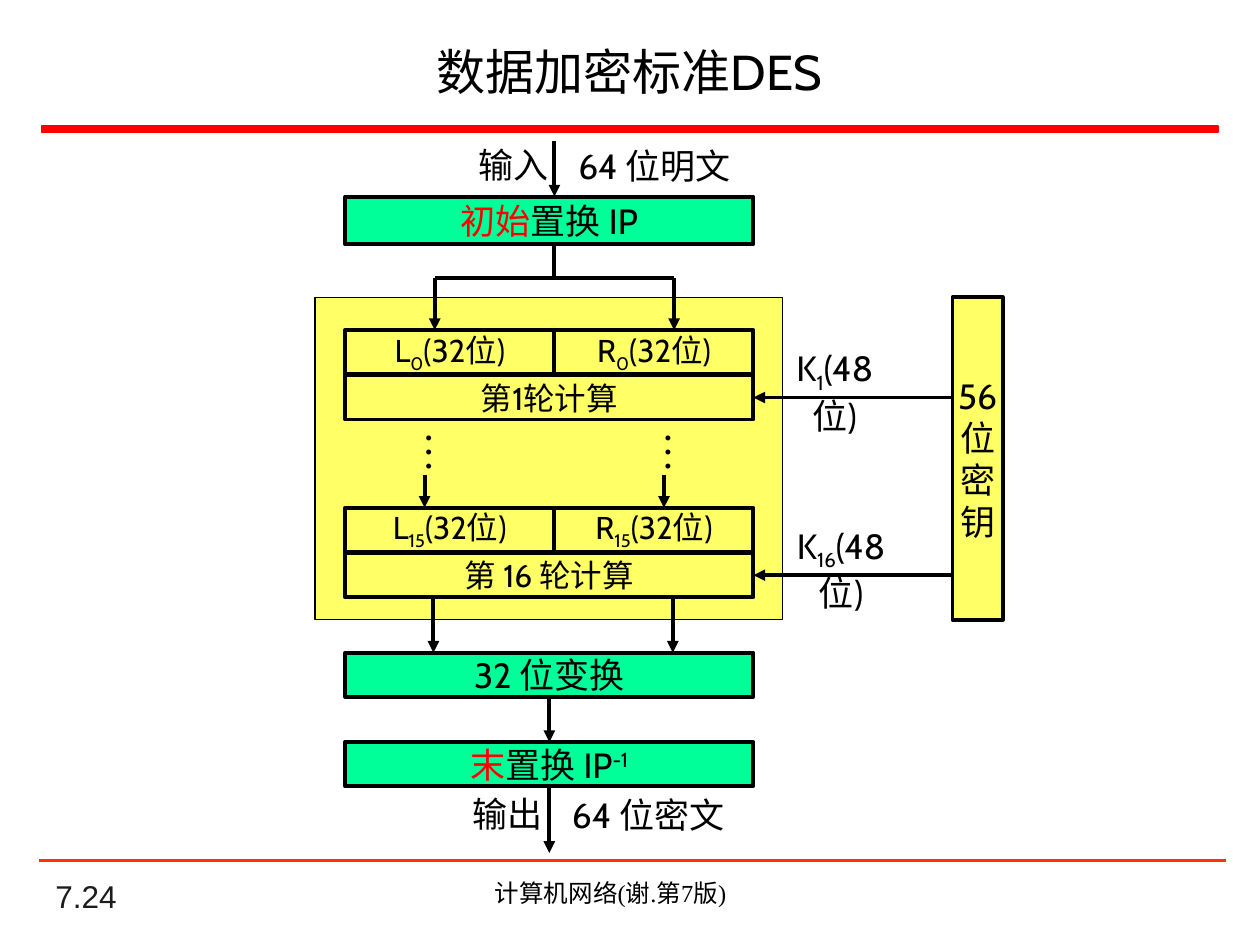
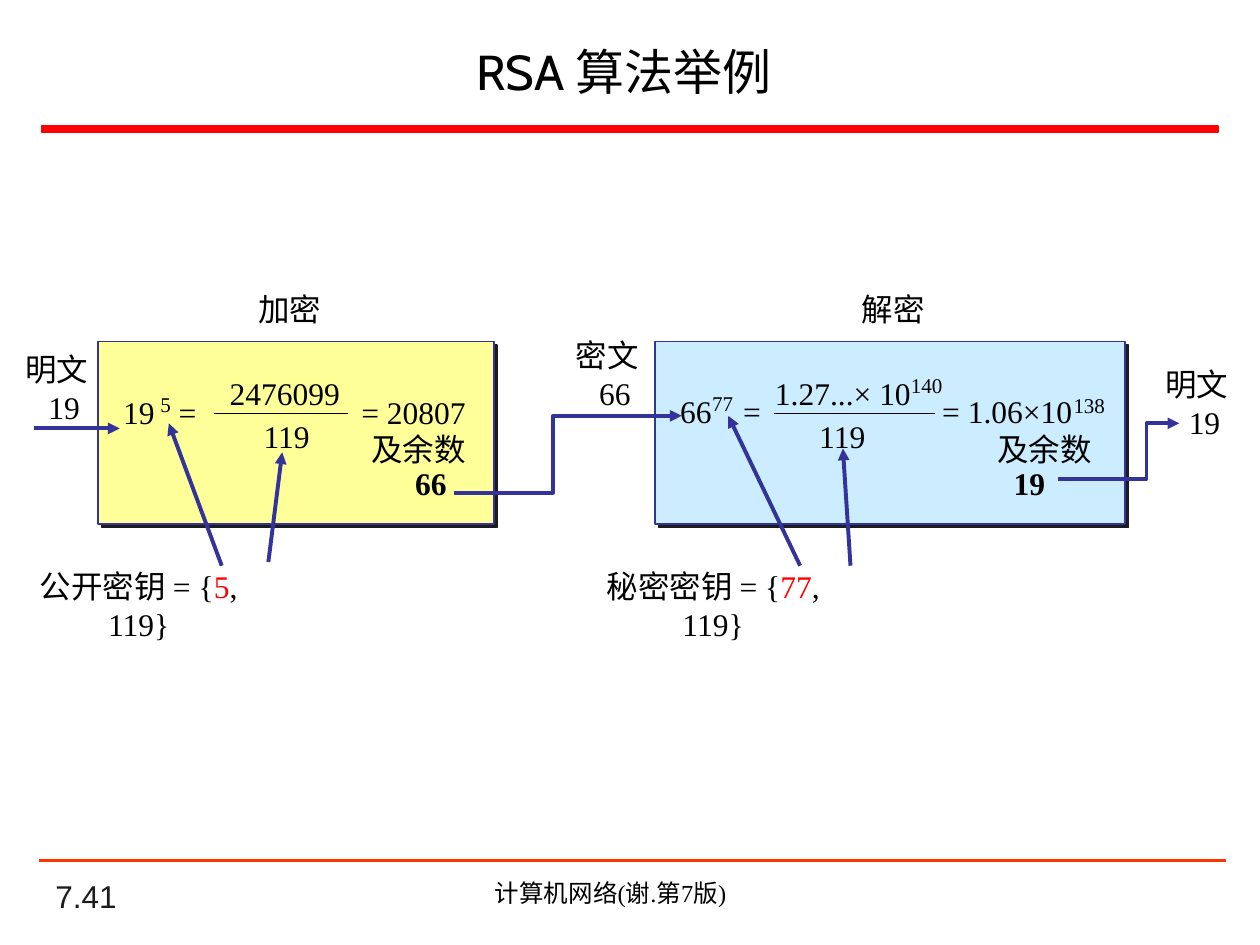
"""Build two slides on the DES cipher and an RSA worked example."""
from dataclasses import dataclass
from typing import NamedTuple, Optional, Sequence, Union

from lxml import etree
from pptx import Presentation
from pptx.dml.color import RGBColor
from pptx.enum import shapes, text
from pptx.oxml.ns import qn
from pptx.util import Inches, Pt

BLACK = RGBColor(0x00, 0x00, 0x00)
CHARCOAL = RGBColor(0x1C, 0x1C, 0x1C)
RED = RGBColor(0xFF, 0x00, 0x00)
ORANGE = RGBColor(0xFF, 0x33, 0x00)
YELLOW = RGBColor(0xFF, 0xFF, 0x66)
PALE_YELLOW = RGBColor(0xFF, 0xFF, 0x99)
PALE_BLUE = RGBColor(0xCC, 0xEC, 0xFF)
GREEN = RGBColor(0x00, 0xFF, 0x99)
NAVY = RGBColor(0x33, 0x33, 0x99)
SANS, SERIF, NUMBER = "Cabin", "Times New Roman", "Arial"
CENTER, LEFT = text.PP_ALIGN.CENTER, text.PP_ALIGN.LEFT
TOP, MIDDLE, BOTTOM = text.MSO_ANCHOR.TOP, text.MSO_ANCHOR.MIDDLE, text.MSO_ANCHOR.BOTTOM
SIDE_TOP, SIDE_BOTTOM, SIDE_RIGHT = 0, 2, 3


class Span(NamedTuple):
    """A stretch of text with its own format."""
    text: str
    color: Optional[RGBColor] = None
    baseline: int = 0
    bold: bool = False


class Line(NamedTuple):
    """A paragraph; a positive indent pushes it right, a negative one left."""
    spans: Sequence[Span]
    indent: float = 0


class Box(NamedTuple):
    """A frame in inches."""
    left: float
    top: float
    width: float
    height: float


class Label(NamedTuple):
    """A piece of text and its frame."""
    content: Union[str, Sequence[Line]]
    box: Box
    size: float = 18


class Arrow(NamedTuple):
    """A straight line from one point to another, in inches."""
    x1: float
    y1: float
    x2: float
    y2: float


@dataclass
class Calculation:
    """One half of the RSA example."""
    panel: Box
    fill: RGBColor
    caption: Label
    equation: Label
    tabs: Sequence[float]
    fraction: Arrow
    key: Label
    key_arrows: Sequence[Arrow]
    route: Sequence[tuple]
    labels: Sequence[Label]


def write(shape, content, *, size: float = 18, font: str = SERIF, color=BLACK, align=CENTER,
          anchor=TOP, wrap: bool = False, spacing: float = 1, before: float = 0,
          vertical: bool = False, tabs: Sequence[float] = ()) -> None:
    """Fill a shape with formatted text."""
    frame = shape.text_frame
    frame.word_wrap, frame.vertical_anchor = wrap, anchor
    if vertical:
        frame._txBody.bodyPr.set("vert", "eaVert")
    lines = [Line([Span(content)])] if isinstance(content, str) else content
    for index, line in enumerate(lines):
        paragraph = frame.add_paragraph() if index else frame.paragraphs[0]
        paragraph.alignment, paragraph.line_spacing = align, spacing
        paragraph.space_before = Pt(before)
        properties = paragraph._p.get_or_add_pPr()
        if line.indent:
            properties.set("marL" if line.indent > 0 else "marR", str(Inches(abs(line.indent))))
        if tabs:
            stops = etree.SubElement(properties, qn("a:tabLst"))
            for tab in tabs:
                etree.SubElement(stops, qn("a:tab"), pos=str(Inches(tab)), algn="l")
        for span in line.spans:
            run = paragraph.add_run()
            run.text = span.text
            run.font.size, run.font.name, run.font.bold = Pt(size), font, span.bold
            run.font.color.rgb = span.color or color
            if span.baseline:
                run._r.get_or_add_rPr().set("baseline", str(span.baseline * 1000))


def frame_of(box: Box) -> list:
    """Turn a box into lengths."""
    return [Inches(value) for value in box]


def add_text(slide, label: Label, **style):
    """Add a text box."""
    shape = slide.shapes.add_textbox(*frame_of(label.box))
    write(shape, label.content, size=label.size, **style)
    return shape


def add_box(slide, box: Box, fill=None, line=BLACK, weight: float = 2.25, content=None, **style):
    """Add a rectangle, with text if there is any."""
    shape = slide.shapes.add_shape(shapes.MSO_SHAPE.RECTANGLE, *frame_of(box))
    shape.shadow.inherit = False
    if fill is None:
        shape.fill.background()
    else:
        shape.fill.solid()
        shape.fill.fore_color.rgb = fill
    shape.line.color.rgb, shape.line.width = line, Pt(weight)
    if content:
        write(shape, content, font=SANS, anchor=MIDDLE, **style)
    return shape


def add_arrowhead(shape) -> None:
    """Put a triangle at the end of a line."""
    etree.SubElement(shape.line._get_or_add_ln(), qn("a:tailEnd"), type="triangle")


def add_line(slide, line: Arrow, color=BLACK, weight: float = 2.25, head: bool = True,
             begin=None, end=None) -> None:
    """Add a straight line; begin and end are (shape, side) pairs to join."""
    connector = slide.shapes.add_connector(
        shapes.MSO_CONNECTOR.STRAIGHT, *[Inches(value) for value in line])
    connector.line.color.rgb, connector.line.width = color, Pt(weight)
    if head:
        add_arrowhead(connector)
    etree.SubElement(connector._element.spPr, qn("a:effectLst"))
    if begin:
        connector.begin_connect(*begin)
    if end:
        connector.end_connect(*end)


def add_route(slide, points: Sequence[tuple]) -> None:
    """Add a bent arrow through the points."""
    start, *rest = [(Inches(x), Inches(y)) for x, y in points]
    builder = slide.shapes.build_freeform(*start)
    builder.add_line_segments(rest, close=False)
    shape = builder.convert_to_shape()
    shape.shadow.inherit = False
    shape.fill.background()
    shape.line.color.rgb, shape.line.width = NAVY, Pt(2.25)
    add_arrowhead(shape)


def add_panel(slide, box: Box, fill) -> None:
    """Add a rectangle with a hard shadow to the lower right."""
    panel = add_box(slide, box, fill, NAVY, 1)
    effects = panel._element.spPr.find(qn("a:effectLst"))
    shadow = etree.SubElement(effects, qn("a:outerShdw"), blurRad="0", dist=str(Pt(2.8)),
                              dir="2700000", algn="ctr", rotWithShape="0")
    etree.SubElement(shadow, qn("a:srgbClr"), val=str(CHARCOAL))


def start_slide(presentation, title: str, number: str):
    """Add a slide with its title, rules and footer."""
    slide = presentation.slides.add_slide(presentation.slide_layouts[6])
    add_text(slide, Label(number, Box(0.34, 6.98, 2.08, 0.33)), font=NUMBER, color=CHARCOAL,
             align=LEFT, anchor=BOTTOM, wrap=True)
    add_box(slide, Box(0.33, 1, 9.34, 0.05), RED, RED, 1)
    add_line(slide, Arrow(0.31, 6.83, 9.73, 6.83), ORANGE, 1.5, head=False)
    add_text(slide, Label("计算机网络(谢.第7版) ", Box(2.83, 6.92, 4.08, 0.34), 14), wrap=True)
    add_text(slide, Label(title, Box(0.39, 0.22, 9.21, 0.69), 28), font=SANS,
             anchor=MIDDLE, wrap=True)
    return slide


def indexed(letter: str, index: int, rest: str) -> list:
    """Give a letter with a subscript and what follows it."""
    return [Line([Span(letter), Span(str(index), baseline=-25), Span(rest)])]


def build_des(presentation) -> None:
    """Draw the DES flow chart."""
    slide = start_slide(presentation, "数据加密标准DES", "7.24")
    left, width, row, middle = 2.74, 3.24, 0.35, 4.4
    right = left + width
    add_box(slide, Box(2.5, 2.36, 3.71, 2.56), YELLOW, weight=0.75)
    key = [Line([Span(part)]) for part in ("56", "位", "密", "钥")]
    add_box(slide, Box(7.56, 2.36, 0.4, 2.56), YELLOW, content=key, size=20)

    initial = [Line([Span("初始", RED), Span("置换 IP")])]
    final = [Line([Span("末", RED), Span("置换 IP"), Span("-1", baseline=30)])]
    stages = [(initial, 1.56, 0.38), ("32 位变换", 5.18, row), (final, 5.89, row)]
    _, swap, last = [add_box(slide, Box(left, top, width, height), GREEN, content=content, size=20)
                     for content, top, height in stages]

    for top, index, name, key_number, key_width in [(2.62, 0, "第1轮计算", 1, 0.85),
                                                    (4.03, 15, "第 16 轮计算", 16, 0.95)]:
        for letter, start, stop in (("L", left, middle), ("R", middle, right)):
            add_box(slide, Box(start, top, stop - start, row),
                    content=indexed(letter, index, "(32位)"))
        round_bar = add_box(slide, Box(left, top + 0.36, width, row), content=name)
        arrow_y = top + 0.36 + row / 2
        add_line(slide, Arrow(7.56, arrow_y, right, arrow_y), end=(round_bar, SIDE_RIGHT))
        add_text(slide, Label(indexed("K", key_number, "(48位)"),
                              Box(6.2, top + 0.08, key_width, 0.75), 20), font=SANS, wrap=True)

    add_line(slide, Arrow(middle, 1.12, middle, 1.56))
    add_line(slide, Arrow(middle, 1.94, middle, 2.21), head=False)
    add_line(slide, Arrow(3.45, 2.21, 5.35, 2.21), head=False)
    for x in (3.45, 5.35):
        add_line(slide, Arrow(x, 2.21, x, 2.62))
        add_line(slide, Arrow(x - 0.08, 3.77, x - 0.08, 4.03))
        add_line(slide, Arrow(x - 0.01, 4.74, x - 0.01, 5.18))
        add_text(slide, Label("…", Box(x - 0.29, 3.33, 0.61, 0.44), 24),
                 vertical=True, wrap=True, before=6)
    add_line(slide, Arrow(4.36, 5.53, 4.36, 5.89), begin=(swap, SIDE_BOTTOM), end=(last, SIDE_TOP))
    add_line(slide, Arrow(4.36, 6.24, 4.36, 6.77), begin=(last, SIDE_BOTTOM))

    for label in (Label("输入", Box(3.69, 1.09, 0.77, 0.44), 20),
                  Label("64 位明文", Box(4.45, 1.1, 1.49, 0.44), 20),
                  Label("输出", Box(3.64, 6.24, 0.77, 0.44), 20),
                  Label("64 位密文", Box(4.4, 6.25, 1.49, 0.44), 20)):
        add_text(slide, label, font=SANS)


def value_of(name: str, value: str, left: float, top: float) -> Label:
    """Label a message with its value below."""
    return Label([Line([Span(name)]), Line([Span(value)], 0.12)], Box(left, top, 0.7, 0.7))


def key_of(name: str, exponent: str, left: float, width: float) -> Label:
    """Label a key pair with its exponent in red."""
    spans = [Span(f"{name} = {{"), Span(exponent, RED), Span(", 119}")]
    return Label([Line(spans)], Box(left, 4.45, width, 0.7))


def remainder_of(value: str, left: float, width: float, indent: float) -> Label:
    """Label the remainder of a division."""
    lines = [Line([Span("及余数")]), Line([Span(value, bold=True)], indent)]
    return Label(lines, Box(left, 3.4, width, 0.65))


CALCULATIONS = [
    Calculation(
        Box(0.78, 2.71, 3.14, 1.45), PALE_YELLOW, Label("加密", Box(1.95, 2.25, 0.7, 0.4)),
        Label("19\t=\t= 20807", Box(0.88, 3.07, 3.1, 0.4)), (0.44, 1.89),
        Arrow(1.7, 3.28, 2.76, 3.28), key_of("公开密钥", "5", 0.09, 2.02),
        [Arrow(1.76, 4.49, 1.34, 3.36), Arrow(2.13, 4.46, 2.24, 3.59)],
        [(3.6, 3.91), (4.39, 3.91), (4.39, 3.3), (5.41, 3.3)],
        [Label("5", Box(1.17, 3.06, 0.29, 0.3), 12),
         Label("2476099", Box(1.72, 2.92, 1.08, 0.4)), Label("119", Box(1.99, 3.26, 0.57, 0.4))]),
    Calculation(
        Box(5.2, 2.71, 3.73, 1.45), PALE_BLUE, Label("解密", Box(6.74, 2.25, 0.7, 0.4)),
        Label("66\t=\t= 1.06×10", Box(5.3, 3.06, 3.6, 0.4)), (0.5, 2.08),
        Arrow(6.14, 3.28, 7.42, 3.28), key_of("秘密密钥", "77", 4.56, 2.2),
        [Arrow(6.35, 4.49, 5.78, 3.3), Arrow(6.75, 4.49, 6.69, 3.56)],
        [(8.4, 3.8), (9.1, 3.8), (9.1, 3.36), (9.36, 3.36)],
        [Label("77", Box(5.55, 3.05, 0.37, 0.3), 12),
         Label("1.27...× 10", Box(6.05, 2.92, 1.28, 0.4)), Label("119", Box(6.4, 3.26, 0.57, 0.4)),
         Label("140", Box(7.13, 2.91, 0.45, 0.3), 12),
         Label("138", Box(8.42, 3.07, 0.45, 0.3), 12)]),
]


def build_rsa(presentation) -> None:
    """Draw the RSA example."""
    slide = start_slide(presentation, "RSA 算法举例 ", "7.41")
    for calculation in CALCULATIONS:
        add_panel(slide, calculation.panel, calculation.fill)
    for calculation in CALCULATIONS:
        add_text(slide, calculation.equation, align=LEFT, wrap=True, tabs=calculation.tabs)
        add_text(slide, calculation.key, wrap=True)
        for label in (calculation.caption, *calculation.labels):
            add_text(slide, label)
        add_line(slide, calculation.fraction, weight=0.75, head=False)
        for arrow in calculation.key_arrows:
            add_line(slide, arrow, NAVY)
        add_route(slide, calculation.route)
    for label in (remainder_of("66", 2.84, 0.96, 0.2), remainder_of("19", 7.75, 1.08, -0.24)):
        add_text(slide, label, spacing=0.9)
    for label in (value_of("明文", "19", 0.1, 2.73), value_of("密文", "66", 4.47, 2.62),
                  value_of("明文", "19", 9.15, 2.85)):
        add_text(slide, label)
    add_line(slide, Arrow(0.27, 3.4, 0.95, 3.4), NAVY)


def main() -> None:
    """Build and save the presentation."""
    presentation = Presentation()
    presentation.slide_width, presentation.slide_height = Inches(10), Inches(7.5)
    build_des(presentation)
    build_rsa(presentation)
    presentation.save("out.pptx")


if __name__ == "__main__":
    main()
